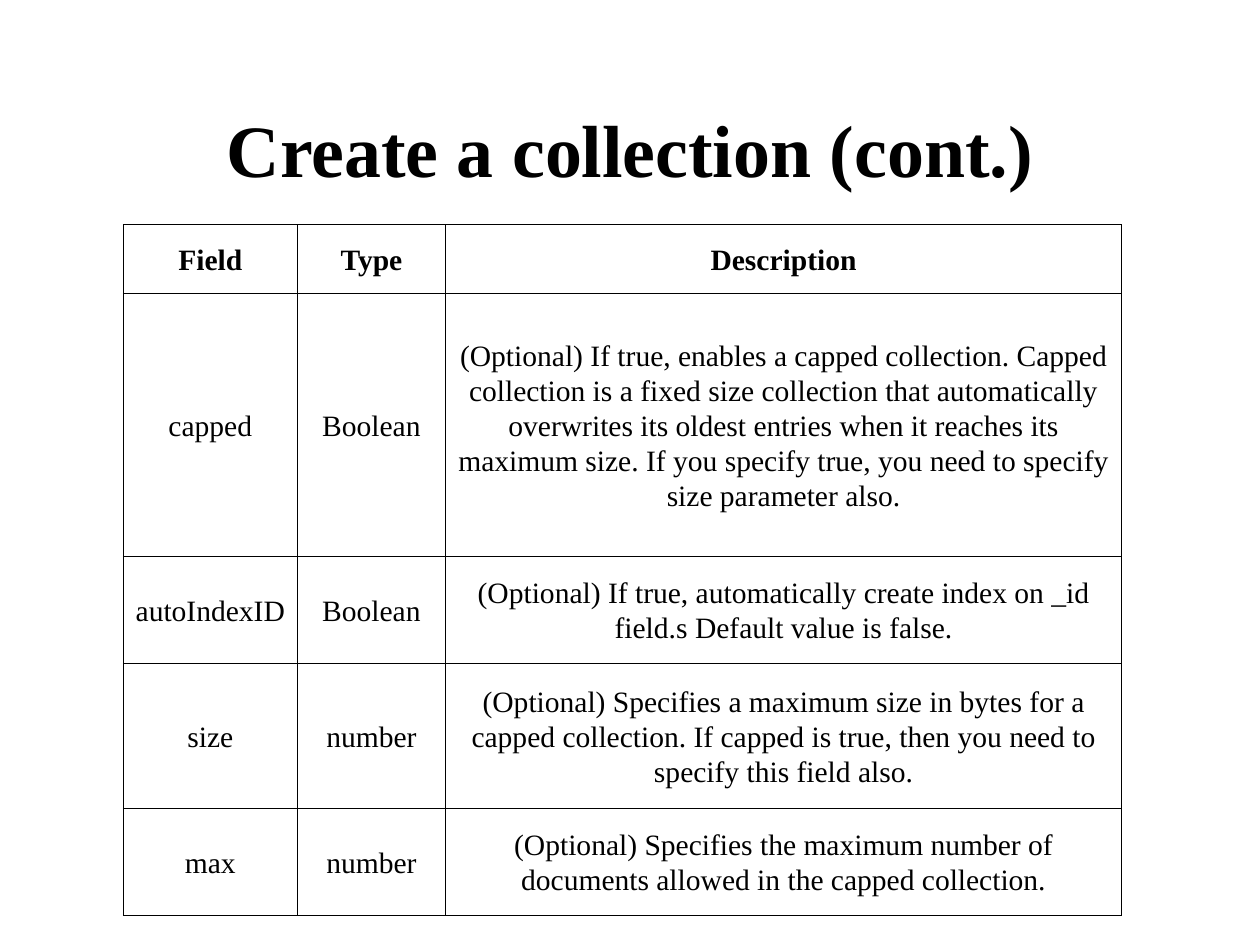
from dataclasses import dataclass
from typing import Any, NamedTuple

from lxml.etree import SubElement
from pptx import Presentation
from pptx.dml.color import RGBColor
from pptx.enum.text import MSO_ANCHOR, MSO_AUTO_SIZE, PP_ALIGN
from pptx.oxml.ns import qn
from pptx.util import Inches, Pt


@dataclass(frozen=True)
class Theme:
    ink: str = "000000"
    paper: str = "FFFFFF"
    font: str = "Times New Roman"
    head: int = 60
    body: int = 24
    rule: int = 1


class Box(NamedTuple):
    """A place given as shares of the slide's size."""
    left: float
    top: float
    width: float
    height: float


class Field(NamedTuple):
    name: str
    kind: str
    text: str
    share: float  # part of the table's height
    bold: bool = False


THEME = Theme()
WIDE, HIGH = Inches(14.22), Inches(10.67)
TITLE = Box(0.073, 0.046, 0.854, 0.221)
GRID = Box(0.098, 0.238, 0.792, 0.731)
COLS = (0.174, 0.149, 0.677)
FIELDS = (
    Field("Field", "Type", "Description", 0.1, True),
    Field("capped", "Boolean",
          "(Optional) If true, enables a capped collection. Capped collection "
          "is a fixed size collection that automatically overwrites its oldest "
          "entries when it reaches its maximum size.\u00a0If you specify true, "
          "you need to specify size parameter also.", 0.38),
    Field("autoIndexID", "Boolean",
          "(Optional) If true, automatically create index on _id field.s "
          "Default value is false.", 0.155),
    Field("size", "number",
          "(Optional) Specifies a maximum size in bytes for a capped collection. "
          "If\u00a0capped is true, then you need to specify this field also.", 0.21),
    Field("max", "number",
          "(Optional) Specifies the maximum number of documents allowed in the "
          "capped collection.", 0.155),
)


def apply(item: Any, values: dict[str, Any]) -> None:
    for key, value in values.items():
        setattr(item, key, value)


def place(box: Box) -> dict[str, int]:
    sides = (WIDE, HIGH, WIDE, HIGH)
    return {key: round(part * side)
            for (key, part), side in zip(box._asdict().items(), sides)}


def inset(size: float) -> dict[str, int]:
    return {f"margin_{side}": Inches(size)
            for side in ("left", "top", "right", "bottom")}


def write(frame: Any, text: str, size: int, bold: bool, **space: Any) -> None:
    line = frame.paragraphs[0]
    apply(line, {"alignment": PP_ALIGN.CENTER, **space})
    run = line.add_run()
    run.text = text
    apply(run.font, {"name": THEME.font, "size": Pt(size), "bold": bold})
    run.font.color.rgb = RGBColor.from_string(THEME.ink)


def rule(cell: Any) -> None:
    props = cell._tc.get_or_add_tcPr()
    for side in ("lnL", "lnR", "lnT", "lnB"):
        line = SubElement(props, qn(f"a:{side}"), w=str(Pt(THEME.rule)))
        fill = SubElement(line, qn("a:solidFill"))
        SubElement(fill, qn("a:srgbClr"), val=THEME.ink)


def draw_title(slide: Any, text: str) -> None:
    title = slide.shapes.title
    apply(title, place(TITLE))
    frame = title.text_frame
    apply(frame, {"word_wrap": True, "auto_size": MSO_AUTO_SIZE.NONE,
                  "vertical_anchor": MSO_ANCHOR.MIDDLE, **inset(0.06)})
    write(frame, text, THEME.head, True)


def draw_table(slide: Any, fields: tuple[Field, ...]) -> None:
    area = place(GRID)
    table = slide.shapes.add_table(len(fields), len(COLS), **area).table
    apply(table, {"first_row": False, "horz_banding": False})
    for col, share in zip(table.columns, COLS):
        col.width = round(area["width"] * share)
    for row, field in zip(table.rows, fields):
        row.height = round(area["height"] * field.share)
        for cell, text in zip(row.cells, field[:3]):
            apply(cell, {"vertical_anchor": MSO_ANCHOR.MIDDLE, **inset(0.08)})
            write(cell.text_frame, text, THEME.body, field.bold,
                  line_spacing=1.07, space_before=Pt(6), space_after=Pt(10))
            rule(cell)  # borders must come before the fill
            cell.fill.background()


# Slide
deck = Presentation()
apply(deck, {"slide_width": WIDE, "slide_height": HIGH})
page = deck.slides.add_slide(deck.slide_layouts.get_by_name("Title Only"))
page.background.fill.solid()
page.background.fill.fore_color.rgb = RGBColor.from_string(THEME.paper)

# Title and table of fields
draw_title(page, "Create a collection (cont.)")
draw_table(page, FIELDS)

deck.save("out.pptx")
